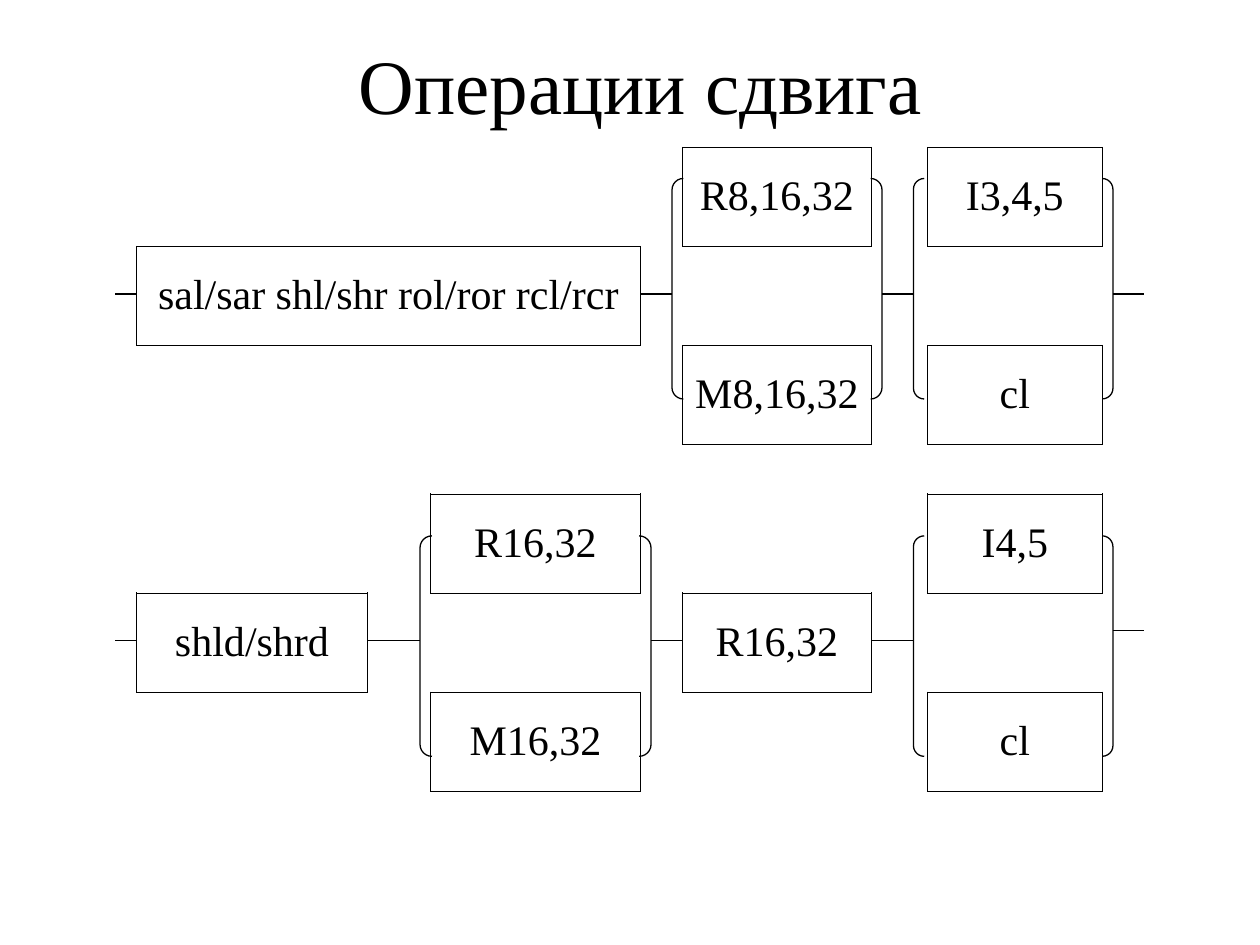
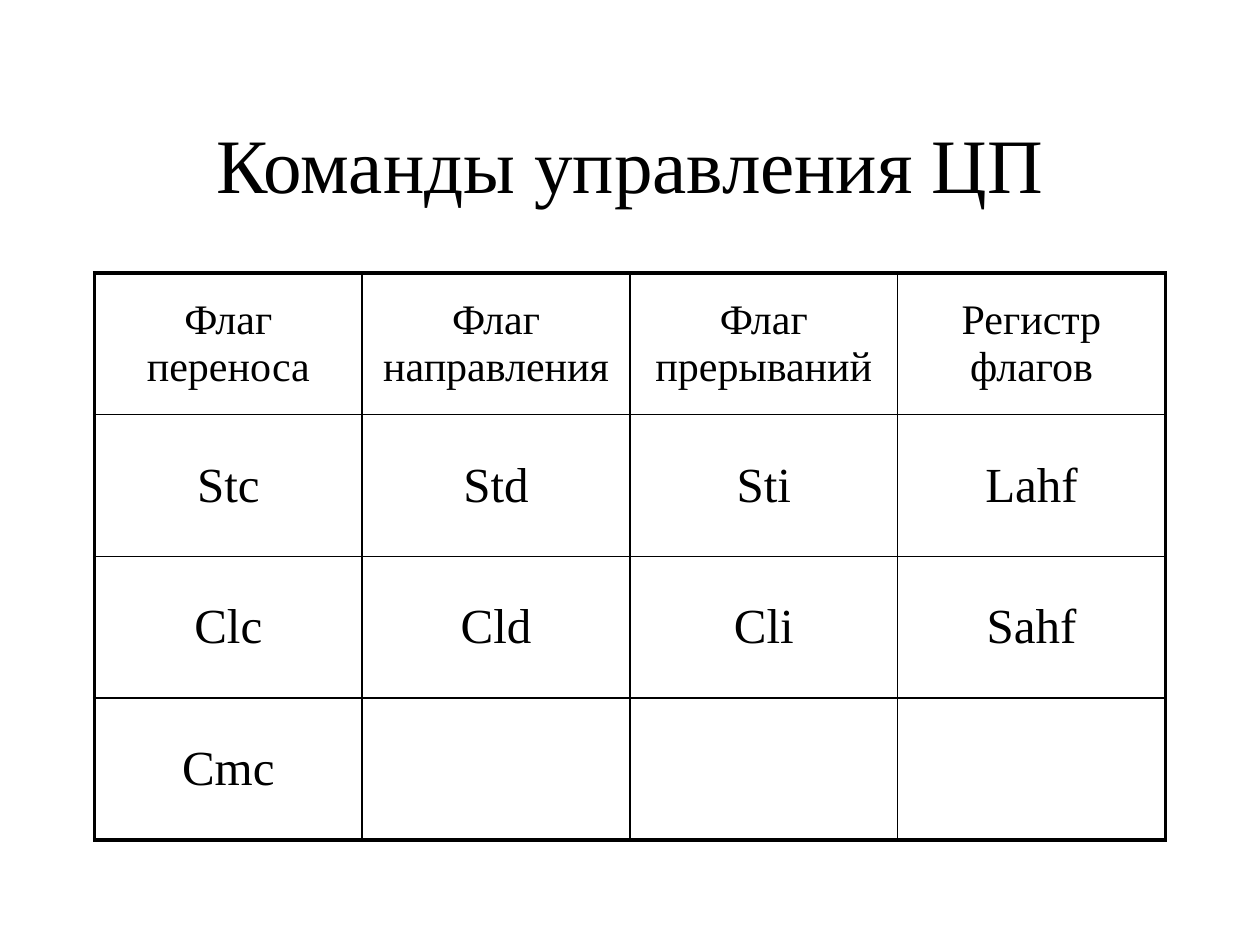
from lxml.etree import SubElement
from pptx import Presentation
from pptx.dml.color import RGBColor
from pptx.enum.shapes import MSO_CONNECTOR, MSO_SHAPE
from pptx.enum.text import MSO_ANCHOR, MSO_AUTO_SIZE, PP_ALIGN
from pptx.oxml.ns import qn
from pptx.util import Pt

COLORS = {"ink": "000000", "paper": "FFFFFF"}
FONT = "Times New Roman"
NO_STYLE = "{2D5ABB26-0587-4C30-8999-92F81FD0307C}"
SIDES = {"L": (0, -1), "R": (0, 1), "T": (-1, 0), "B": (1, 0)}

SHIFT_COLUMNS = [24, 132, 36, 120, 24, 108, 32, 100, 36]
SHIFT_ROWS = [56.6, 56.6, 56.6, 28.4, 56.6, 56.6, 56.6]
SHIFT_BOXES = {
    (0, 5): "R8,16,32", (0, 7): "I3,4,5",
    (1, 1): "sal/sar shl/shr rol/ror rcl/rcr",
    (2, 5): "M8,16,32", (2, 7): "cl",
    (4, 3): "R16,32", (4, 7): "I4,5",
    (5, 1): "shld/shrd", (5, 5): "R16,32",
    (6, 3): "M16,32", (6, 7): "cl",
}
FLAG_COMMANDS = [
    ["Флаг переноса", "Флаг направления", "Флаг прерываний", "Регистр флагов"],
    ["Stc", "Std", "Sti", "Lahf"],
    ["Clc", "Cld", "Cli", "Sahf"],
    ["Cmc", "", "", ""],
]


def color(name):
    """Return the named colour."""
    return RGBColor.from_string(COLORS[name])


def write_text(text_frame, text, size=24, align=PP_ALIGN.CENTER):
    """Write one formatted paragraph."""
    paragraph = text_frame.paragraphs[0]
    paragraph.alignment = align
    run = paragraph.add_run()
    run.text = text
    run.font.size = Pt(size)
    run.font.name = FONT
    run.font.color.rgb = color("ink")


def add_titled_slide(presentation, title, left, top, width, height):
    """Add a slide with its title in the given box."""
    slide = presentation.slides.add_slide(presentation.slide_layouts[5])
    slide.background.fill.solid()
    slide.background.fill.fore_color.rgb = color("paper")
    shape = slide.shapes.title
    shape.left, shape.top = Pt(left), Pt(top)
    shape.width, shape.height = Pt(width), Pt(height)
    shape.text_frame.auto_size = MSO_AUTO_SIZE.NONE
    shape.text_frame.vertical_anchor = MSO_ANCHOR.MIDDLE
    write_text(shape.text_frame, title, size=44)
    return slide


def add_plain_table(slide, left, top, columns, rows):
    """Add a table without style from column widths and row heights."""
    frame = slide.shapes.add_table(len(rows), len(columns), Pt(left), Pt(top),
                                   Pt(sum(columns)), Pt(sum(rows)))
    table = frame.table
    table.first_row = table.horz_banding = False
    for style in frame.element.iter(qn("a:tableStyleId")):
        style.text = NO_STYLE
    for column, width in zip(table.columns, columns):
        column.width = Pt(width)
    for row, height in zip(table.rows, rows):
        row.height = Pt(height)
    return table


def format_cell(cell, borders, margin):
    """Give a cell its borders by side, no fill and centred content."""
    properties = cell._tc.get_or_add_tcPr()
    for side in SIDES:
        width = borders[side]
        line = SubElement(properties, qn(f"a:ln{side}"), w=str(Pt(width)))
        if width:
            fill = SubElement(line, qn("a:solidFill"))
            SubElement(fill, qn("a:srgbClr"), val=COLORS["ink"])
        else:
            SubElement(line, qn("a:noFill"))
    cell.fill.background()
    cell.vertical_anchor = MSO_ANCHOR.MIDDLE
    cell.margin_left = cell.margin_right = Pt(margin)
    cell.margin_top = cell.margin_bottom = Pt(0)


def add_wire(slide, start, end, y):
    """Draw a horizontal connector."""
    wire = slide.shapes.add_connector(MSO_CONNECTOR.STRAIGHT, Pt(start), Pt(y), Pt(end), Pt(y))
    wire.line.color.rgb = color("ink")
    wire.line.width = Pt(0.75)
    SubElement(wire.element.spPr, qn("a:effectLst"))


def add_brackets(slide, left, top, width):
    """Draw a pair of rounded brackets around two alternatives."""
    shape = slide.shapes.add_shape(MSO_SHAPE.DOUBLE_BRACKET, Pt(left), Pt(top), Pt(width), Pt(126))
    shape.adjustments[0] = 0.054
    shape.shadow.inherit = False
    shape.fill.background()
    shape.line.color.rgb = color("ink")
    shape.line.width = Pt(0.75)


def draw_operand_boxes(slide, left, top):
    """Draw the operand boxes as bordered cells of a table."""
    table = add_plain_table(slide, left, top, SHIFT_COLUMNS, SHIFT_ROWS)
    owners = {place: place for place in SHIFT_BOXES}
    owners.update({(1, 2): (1, 1), (1, 3): (1, 1)})
    table.cell(1, 1).merge(table.cell(1, 3))
    for row in range(len(SHIFT_ROWS)):
        for column in range(len(SHIFT_COLUMNS)):
            owner = owners.get((row, column))
            borders = {side: 0.25 if owner != owners.get((row + down, column + across)) else 0
                       for side, (down, across) in SIDES.items()}
            format_cell(table.cell(row, column), borders, margin=0)
    for place, text in SHIFT_BOXES.items():
        write_text(table.cell(*place).text_frame, text)


def draw_rail(slide, left, top, brackets, wires, bracket_top, exit_y):
    """Draw the brackets and wires of one syntax diagram."""
    for x, width in brackets:
        add_brackets(slide, left + x, top + bracket_top, width)
    for start, end in wires:
        add_wire(slide, left + start, left + end, top + 84)
    add_wire(slide, left + 582, left + 600, top + exit_y)


def build_shift_slide(presentation):
    """Build the syntax diagrams of the shift operations."""
    slide = add_titled_slide(presentation, "Операции сдвига", 60, 30, 612, 36)
    left, top = 54, 84
    draw_operand_boxes(slide, left, top)
    draw_rail(slide, left, top, [(330, 120), (468, 114)],
              [(12, 24), (312, 330), (450, 468)], bracket_top=18, exit_y=84)
    draw_rail(slide, left, top + sum(SHIFT_ROWS[:4]), [(186, 132), (468, 114)],
              [(12, 24), (156, 186), (318, 336), (444, 468)], bracket_top=24, exit_y=78)


def draw_flag_table(slide, left, top, width, height):
    """Draw the table of flag commands with a heavy outer frame."""
    row_count, column_count = len(FLAG_COMMANDS), len(FLAG_COMMANDS[0])
    table = add_plain_table(slide, left, top, [width / column_count] * column_count,
                            [height / row_count] * row_count)
    for row, commands in enumerate(FLAG_COMMANDS):
        for column, text in enumerate(commands):
            cell = table.cell(row, column)
            borders = {side: 1 if 0 <= row + down < row_count
                       and 0 <= column + across < column_count else 2.25
                       for side, (down, across) in SIDES.items()}
            format_cell(cell, borders, margin=7.2)
            if text:
                write_text(cell.text_frame, text, size=28 if row else 24)


def build_flag_slide(presentation):
    """Build the slide of processor control commands."""
    slide = add_titled_slide(presentation, "Команды управления ЦП", 54, 48, 612, 90)
    draw_flag_table(slide, 54, 156, 612, 324)


def main():
    """Build and save the presentation."""
    presentation = Presentation()
    presentation.slide_width, presentation.slide_height = Pt(720), Pt(540)
    build_shift_slide(presentation)
    build_flag_slide(presentation)
    presentation.save("out.pptx")


if __name__ == "__main__":
    main()
